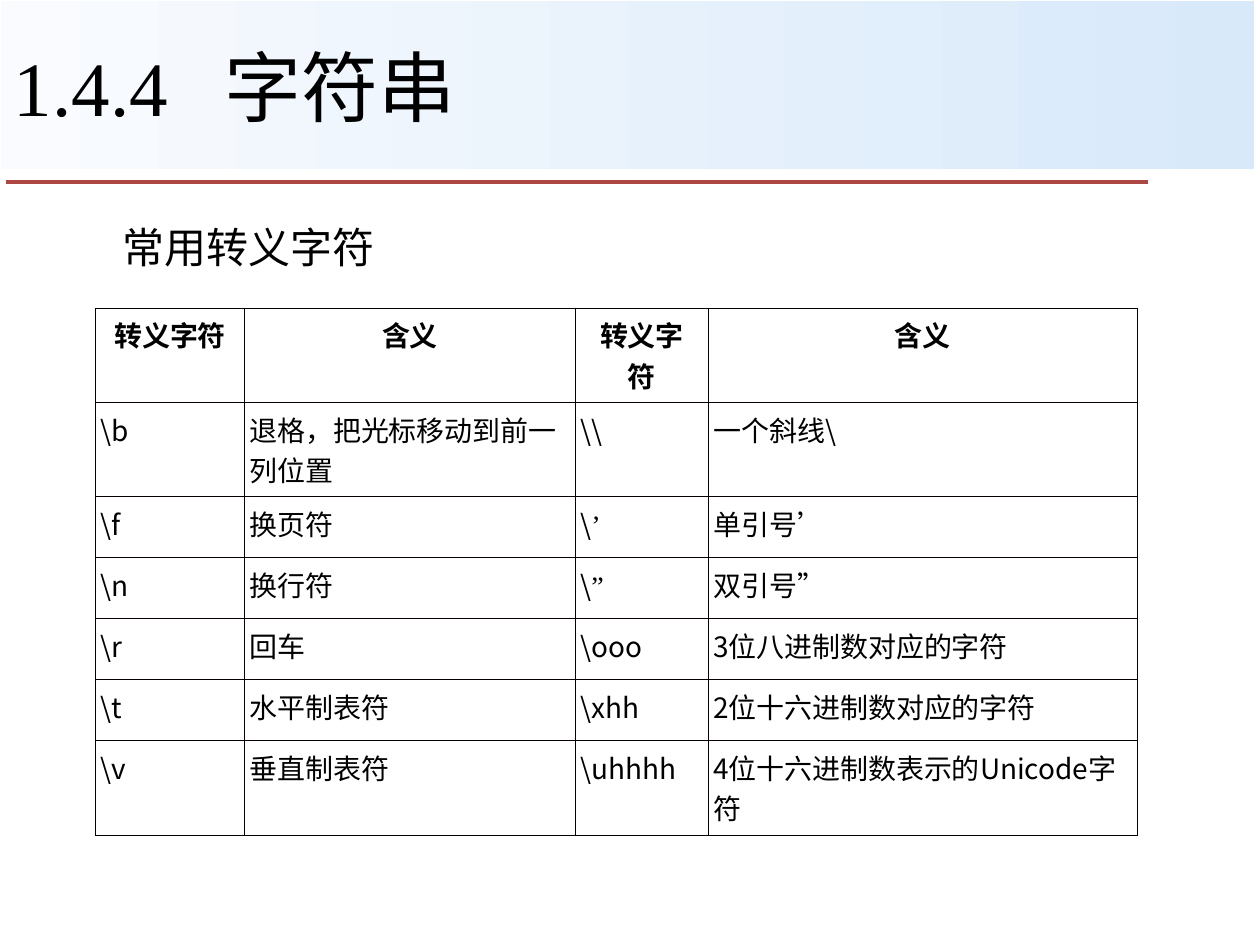
from lxml.etree import SubElement as Sub
from pptx import Presentation
from pptx.dml.color import RGBColor
from pptx.enum.shapes import MSO_CONNECTOR as Link, MSO_SHAPE as Shape
from pptx.enum.text import MSO_ANCHOR as Anchor, PP_ALIGN as Align
from pptx.oxml.ns import qn
from pptx.util import Cm, Pt

SANS, SERIF = "Noto Sans CJK SC", "Times New Roman"
TITLE = {"size": Pt(44), "name": SERIF}
TOPIC = {"size": Pt(24), "name": "Arial"}
HEAD = {"size": Pt(16), "name": SANS, "bold": True}
BODY = {"size": Pt(16), "name": SANS, "bold": False}
QUOTE = {**BODY, "name": SERIF}
HEADCELL = {"margin_left": Cm(0.25), "margin_right": Cm(0.25),
            "margin_top": Cm(0.13), "margin_bottom": Cm(0.13)}
BODYCELL = {**HEADCELL, "margin_left": Cm(0.1)}
FRAME = {**HEADCELL, "word_wrap": True}

WIDTHS = [3, 6.67, 2.68, 8.65]
ONE, TWO = 1.23, 1.9
HEIGHTS = [TWO, TWO, ONE, ONE, ONE, ONE, TWO]
ROWS = [
    ["转义字符", "含义", "转义字符", "含义"],
    [r"\b", "退格，把光标移动到前一列位置", r"\\", "一个斜线\\"],
    [r"\f", "换页符", r"\’", "单引号’"],
    [r"\n", "换行符", r"\”", "双引号”"],
    [r"\r", "回车", r"\ooo", "3位八进制数对应的字符"],
    [r"\t", "水平制表符", r"\xhh", "2位十六进制数对应的字符"],
    [r"\v", "垂直制表符", r"\uhhhh", "4位十六进制数表示的Unicode字符"],
]


def tint(code):
    """Turn a hex string into a colour."""
    return RGBColor.from_string(code)


def apply(item, form):
    """Set each format value on an item."""
    for key, val in form.items():
        setattr(item, key, val)


def write(para, text, form):
    """Add a black run to a paragraph."""
    run = para.add_run()
    run.text = text
    apply(run.font, form)
    run.font.color.rgb = tint("000000")
    Sub(run.font._element, qn("a:ea"), typeface=SANS)


def border(cell):
    """Draw thin black lines on all sides of a cell."""
    props = cell._tc.get_or_add_tcPr()
    for i, side in enumerate(("lnL", "lnR", "lnT", "lnB")):
        line = props.makeelement(qn("a:" + side), {"w": str(Pt(0.45))})
        fill = Sub(line, qn("a:solidFill"))
        Sub(fill, qn("a:srgbClr"), val="080000")
        props.insert(i, line)


def banner(slide, x, y, w, h):
    """Place the shaded title bar and the rule below it."""
    bar = slide.shapes.add_shape(Shape.RECTANGLE, Cm(x), Cm(y), Cm(w), Cm(h))
    bar.shadow.inherit = False
    bar.line.fill.background()
    bar.fill.gradient()
    bar.fill.gradient_angle = 0
    for stop, code in zip(bar.fill.gradient_stops, ("F9FBFE", "D8E9FA")):
        stop.color.rgb = tint(code)
    apply(bar.text_frame, {**FRAME, "vertical_anchor": Anchor.MIDDLE})
    para = bar.text_frame.paragraphs[0]
    para.alignment = Align.LEFT
    tabs = Sub(para._p.get_or_add_pPr(), qn("a:tabLst"))
    Sub(tabs, qn("a:tab"), pos=str(Cm(4.25)), algn="l")
    write(para, "1.4.4\t字符串", TITLE)
    low = Cm(y + h + 0.25)
    rule = slide.shapes.add_connector(
        Link.STRAIGHT, Cm(x + 0.1), low, Cm(x + 23.12), low)
    rule.line.color.rgb = tint("AC4744")
    rule.line.width = Pt(2.25)
    Sub(rule._element.spPr, qn("a:effectLst"))


def topic(slide, x, y, w, h):
    """Place the indented line above the table."""
    box = slide.shapes.add_textbox(Cm(x), Cm(y), Cm(w), Cm(h))
    apply(box.text_frame, FRAME)
    para = box.text_frame.paragraphs[0]
    para.line_spacing = 0.9
    para._p.get_or_add_pPr().set("marL", str(Cm(0.95)))
    write(para, "常用转义字符", TOPIC)


def grid(slide, x, y):
    """Place the table of escape characters."""
    table = slide.shapes.add_table(
        len(ROWS), len(WIDTHS), Cm(x), Cm(y),
        Cm(sum(WIDTHS)), Cm(sum(HEIGHTS))).table
    for col, wide in zip(table.columns, WIDTHS):
        col.width = Cm(wide)
    for r, (row, high) in enumerate(zip(ROWS, HEIGHTS)):
        table.rows[r].height = Cm(high)
        for c, text in enumerate(row):
            cell = table.cell(r, c)
            cell.fill.background()
            border(cell)
            apply(cell, BODYCELL if r else HEADCELL)
            para = cell.text_frame.paragraphs[0]
            para.alignment = Align.LEFT if r else Align.CENTER
            stem = text.rstrip("’”")
            write(para, stem, BODY if r else HEAD)
            if stem != text:
                write(para, text[len(stem):], QUOTE)


def main():
    """Build and save the slide."""
    deck = Presentation()
    apply(deck, {"slide_width": Cm(25.4), "slide_height": Cm(19.05)})
    slide = deck.slides.add_slide(deck.slide_layouts[6])
    banner(slide, 0.03, 0.03, 25.25, 3.38)
    topic(slide, 1.27, 4.45, 22.86, 1.5)
    grid(slide, 1.93, 6.21)
    deck.save("out.pptx")


if __name__ == "__main__":
    main()
